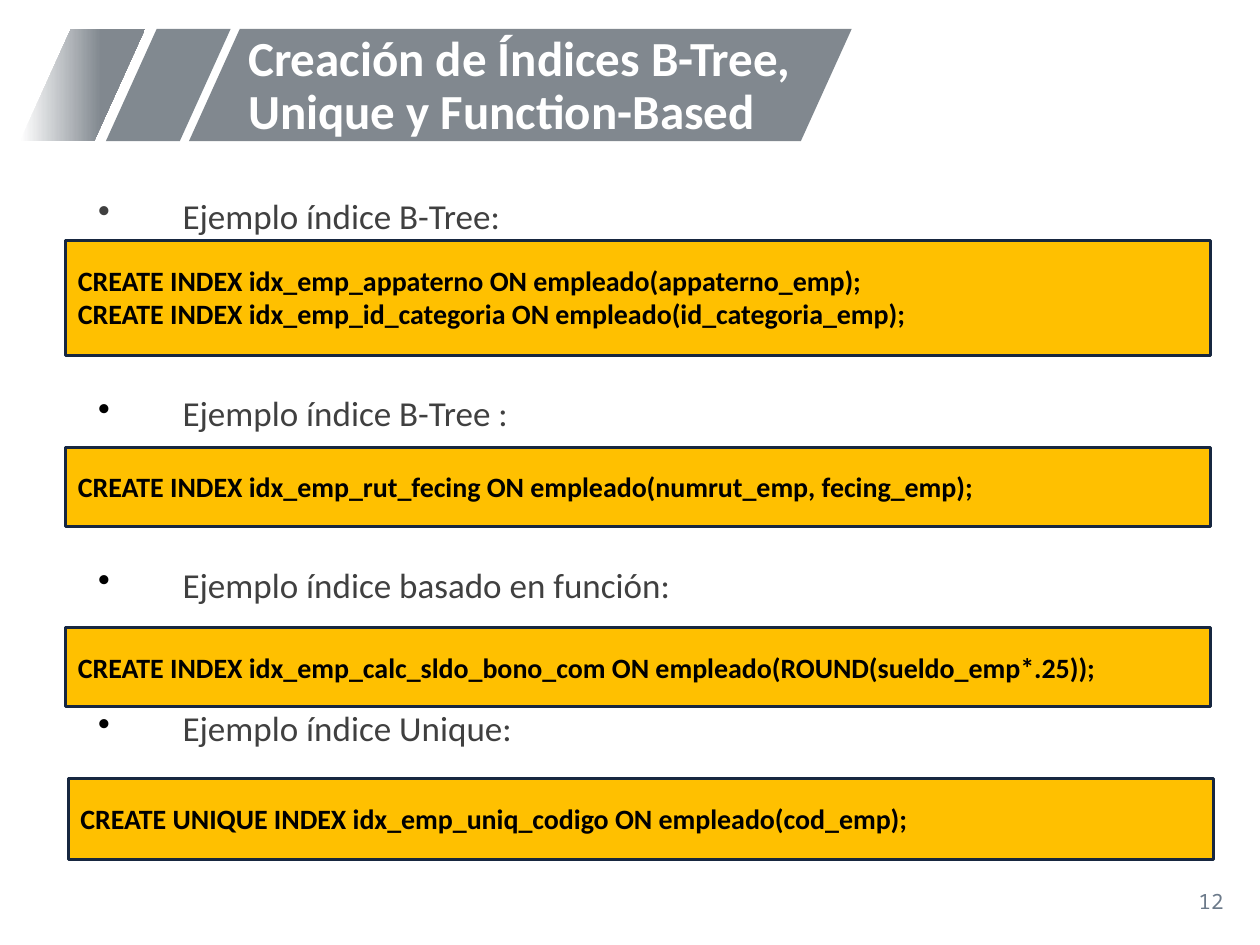
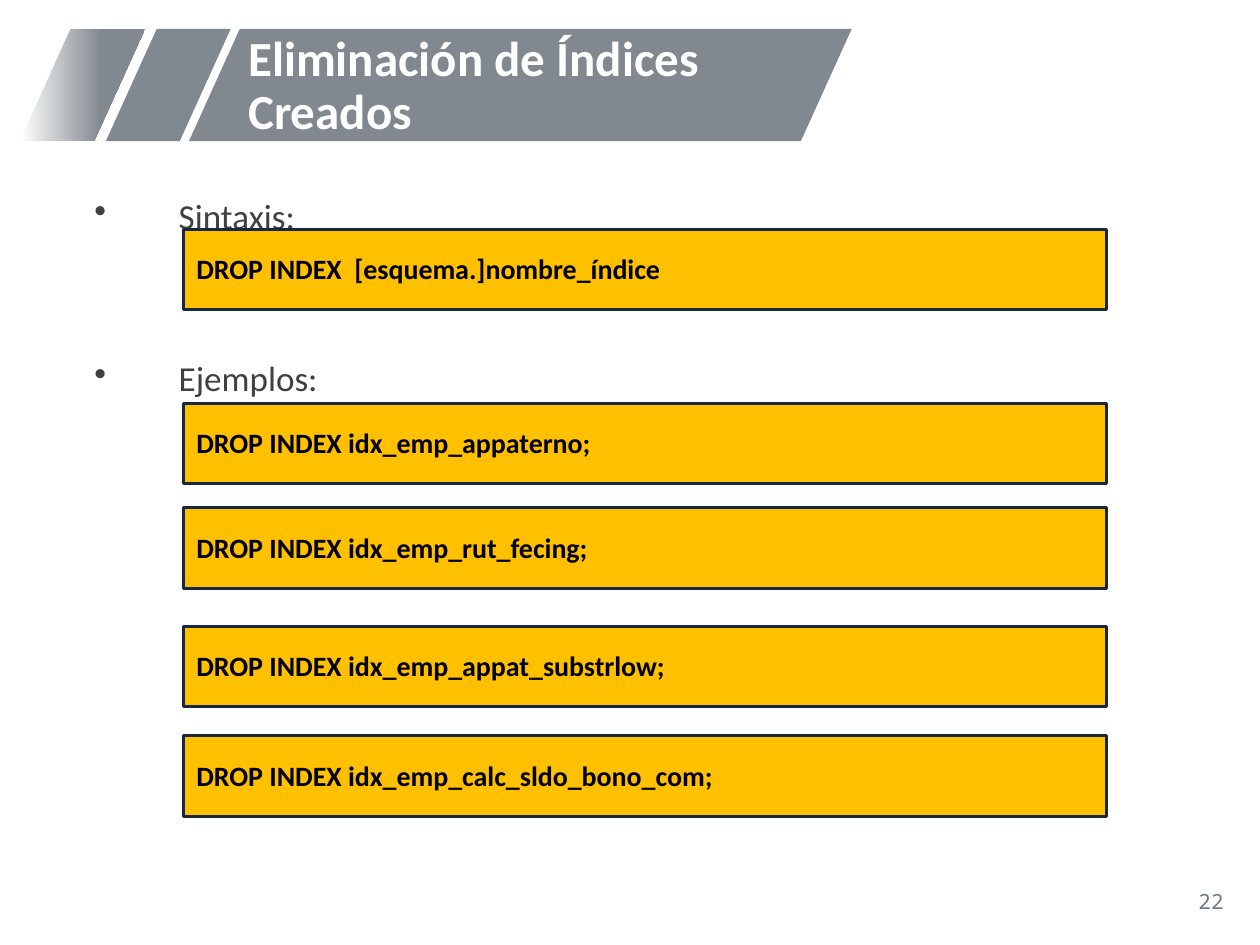
from lxml.etree import SubElement
from pptx import Presentation
from pptx.dml.color import RGBColor
from pptx.enum.shapes import MSO_SHAPE
from pptx.enum.text import MSO_ANCHOR, MSO_AUTO_SIZE, PP_ALIGN
from pptx.oxml.ns import qn
from pptx.util import Emu, Pt

WHITE = RGBColor(0xFF, 0xFF, 0xFF)
BLACK = RGBColor(0x00, 0x00, 0x00)
GREY = RGBColor(0x81, 0x88, 0x8F)
STEEL = RGBColor(0x81, 0x89, 0x90)
SLATE = RGBColor(0x6C, 0x7A, 0x8A)
DARK = RGBColor(0x40, 0x40, 0x40)
AMBER = RGBColor(0xFF, 0xC0, 0x00)
NAVY = RGBColor(0x17, 0x27, 0x40)

FONT = "Calibri"
MONO = "Noto Sans Mono"


def px(n):
    """Convert px to EMU, at 100 px to the inch."""
    return Emu(n * 9144)


class Deck:
    def __init__(self):
        self.prs = Presentation()
        self.prs.slide_width, self.prs.slide_height = px(1000), px(750)
        self.slide = None

    def style(self, para, size, color, bold=False, name=FONT):
        font = para.font
        font.name, font.size, font.bold = name, Pt(size), bold
        font.color.rgb = color

    def shape(self, kind, box, color):
        item = self.slide.shapes.add_shape(kind, *map(px, box))
        item.shadow.inherit = False
        item.line.fill.background()
        item.fill.solid()
        item.fill.fore_color.rgb = color
        return item

    def text(self, box):
        item = self.slide.shapes.add_textbox(*map(px, box))
        item.text_frame.word_wrap = True
        return item.text_frame

    def band(self, left, width, color):
        item = self.shape(MSO_SHAPE.PARALLELOGRAM, (left, 23, width, 89), color)
        item.adjustments[0] = 0.453
        return item

    def page(self, title, number):
        self.slide = self.prs.slides.add_slide(self.prs.slide_layouts[5])
        # Slanted bands, the last one fading in from white
        self.band(150, 526, GREY)
        self.band(84, 99, STEEL)
        fade = self.band(16, 99, GREY).fill
        fade.gradient()
        fade.gradient_angle = 0
        for stop, color, pos in zip(fade.gradient_stops, (WHITE, GREY), (0, 0.65)):
            stop.color.rgb = color
            stop.position = pos
        # Page number
        frame = self.text((756, 695, 225, 40))
        frame.vertical_anchor = MSO_ANCHOR.MIDDLE
        para = frame.paragraphs[0]
        para.text = str(number)
        para.alignment = PP_ALIGN.RIGHT
        self.style(para, 12, SLATE, name=MONO)
        # Title, brought in front of the bands
        head = self.slide.shapes.title
        head.left, head.top, head.width, head.height = map(px, (187, 25, 508, 89))
        head.text = title
        frame = head.text_frame
        frame.auto_size = MSO_AUTO_SIZE.NONE
        frame.vertical_anchor = MSO_ANCHOR.MIDDLE
        para = frame.paragraphs[0]
        para.alignment = PP_ALIGN.LEFT
        para.line_spacing = 0.9
        self.style(para, 28, WHITE, bold=True)
        self.slide.shapes._spTree.append(head._element)

    def bullets(self, box, inset, items):
        """Each item is its text, the points before it and its bullet colour."""
        frame = self.text(box)
        frame.margin_top = px(inset)
        for i, (words, gap, color) in enumerate(items):
            para = frame.add_paragraph() if i else frame.paragraphs[0]
            para.text = words
            props = para._p.get_or_add_pPr()
            props.set("marL", str(px(67)))
            props.set("indent", str(px(-67)))
            tint = SubElement(props, qn("a:buClr"))
            SubElement(tint, qn("a:srgbClr")).set("val", str(color))
            SubElement(props, qn("a:buChar")).set("char", "•")
            if gap:
                para.space_before = Pt(gap)
            self.style(para, 20, DARK)

    def code(self, box, *lines):
        item = self.shape(MSO_SHAPE.RECTANGLE, box, AMBER)
        item.line.color.rgb = NAVY
        item.line.width = Pt(1.75)
        frame = item.text_frame
        frame.word_wrap = True
        frame.vertical_anchor = MSO_ANCHOR.TOP
        frame.margin_top = px(18)
        frame.text = "\n".join(lines)
        for para in frame.paragraphs:
            para.alignment = PP_ALIGN.LEFT
            self.style(para, 16, BLACK, bold=True)


def create(deck):
    deck.page("Creación de Índices B-Tree, Unique y Function-Based", 12)
    deck.bullets((68, 121, 739, 495), 33, [
        ("Ejemplo índice B-Tree:", 0, DARK),
        ("Ejemplo índice B-Tree :", 89, BLACK),
        ("Ejemplo índice basado en función:", 74, BLACK),
        ("Ejemplo índice Unique:", 58, BLACK),
    ])
    deck.code((52, 191, 909, 91),
              "CREATE INDEX idx_emp_appaterno ON empleado(appaterno_emp);",
              "CREATE INDEX idx_emp_id_categoria ON empleado(id_categoria_emp);")
    deck.code((52, 355, 909, 63),
              "CREATE INDEX idx_emp_rut_fecing ON empleado(numrut_emp, fecing_emp);")
    deck.code((52, 498, 909, 63),
              "CREATE INDEX idx_emp_calc_sldo_bono_com ON empleado(ROUND(sueldo_emp*.25));")
    deck.code((54, 618, 909, 64),
              "CREATE UNIQUE INDEX idx_emp_uniq_codigo ON empleado(cod_emp);")


def drop(deck):
    deck.page("Eliminación de Índices Creados", 22)
    deck.bullets((65, 115, 711, 307), 39, [
        ("Sintaxis:", 0, DARK),
        ("Ejemplos:", 69, DARK),
    ])
    for top, name in (
        (182, " [esquema.]nombre_índice"),
        (320, "idx_emp_appaterno;"),
        (403, "idx_emp_rut_fecing;"),
        (497, "idx_emp_appat_substrlow;"),
        (584, "idx_emp_calc_sldo_bono_com;"),
    ):
        deck.code((146, top, 732, 64), f"DROP INDEX {name}")


def main():
    deck = Deck()
    create(deck)
    drop(deck)
    deck.prs.save("out.pptx")


if __name__ == "__main__":
    main()
